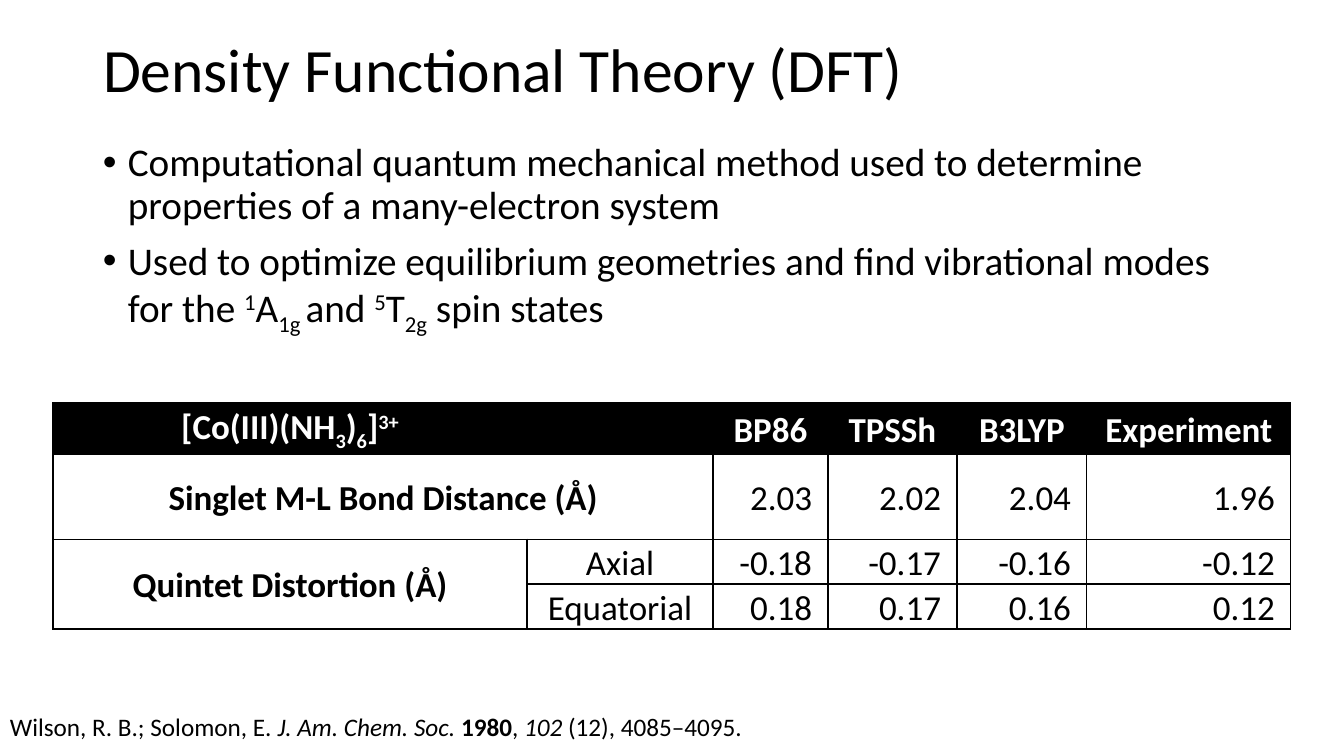
from dataclasses import dataclass

from lxml.etree import SubElement
from pptx import Presentation
from pptx.dml.color import RGBColor
from pptx.enum.text import MSO_ANCHOR, PP_ALIGN
from pptx.oxml.ns import qn
from pptx.util import Pt

TITLE = "Density Functional Theory (DFT)"
BULLETS = [
    [("Computational quantum mechanical method used to determine "
      "properties of a many-electron system", "")],
    [("Used to optimize equilibrium geometries and find vibrational modes for the ", ""),
     ("1", "super"), ("A", ""), ("1g ", "sub"), ("and ", ""),
     ("5", "super"), ("T", ""), ("2g", "sub"), (" spin states", "")],
]
COMPLEX = [("[Co(III)(NH", ""), ("3", "sub"), (")", ""), ("6", "sub"), ("]", ""), ("3+", "super")]
TABLE_ROWS = [
    [COMPLEX, "", "BP86", "TPSSh", "B3LYP", "Experiment"],
    ["Singlet M-L Bond Distance (Å)", "", "2.03", "2.02", "2.04", "1.96"],
    ["Quintet Distortion (Å)", "Axial", "-0.18", "-0.17", "-0.16", "-0.12"],
    ["", "Equatorial", "0.18", "0.17", "0.16", "0.12"],
]
MERGES = [((1, 0), (1, 1)), ((2, 0), (3, 0))]
CITATION = [
    ("Wilson, R. B.; Solomon, E. ", ""), ("J. Am. Chem. Soc. ", "italic"),
    ("1980", "bold"), (", ", ""), ("102", "italic"), (" (12), 4085–4095.", ""),
]

SLIDE_SIZE = (1344, 756)
TITLE_BOX = (93, 0, 1159, 146)
BULLET_BOX = (93, 138, 1159, 480)
CITATION_BOX = (0, 706, 1217, 72)
TABLE_ORIGIN = (53, 403)
COLUMN_WIDTHS = [474, 186, 115, 129, 130, 204]
ROW_HEIGHTS = [44, 85, 44, 43]
CELL_MARGIN = 16
BULLET_INDENT = 25
BASELINES = {"super": "30000", "sub": "-25000"}


@dataclass(frozen=True)
class Theme:
    font: str = "Calibri"
    ink: RGBColor = RGBColor(0, 0, 0)
    paper: RGBColor = RGBColor(255, 255, 255)
    title: int = 44
    body: int = 28
    table: int = 25
    citation: int = 18
    border: int = 1


THEME = Theme()


def px(length):
    return round(length * 12192000 / 1344)


def place(shape, box):
    shape.left, shape.top, shape.width, shape.height = map(px, box)


def write(paragraph, content, size, color=THEME.ink, bold=False):
    runs = [(content, "")] if isinstance(content, str) else content
    for text, style in runs:
        run = paragraph.add_run()
        run.text = text
        if style in BASELINES:
            run.font._element.set("baseline", BASELINES[style])
        elif style:
            setattr(run.font, style, True)
    font = paragraph.font
    font.name, font.size, font.bold = THEME.font, Pt(size), bold
    font.color.rgb = color


def add_text_box(slide, box):
    shape = slide.shapes.add_textbox(*map(px, box))
    shape.text_frame.word_wrap = True
    return shape.text_frame


def add_title(slide):
    title = slide.shapes.title
    place(title, TITLE_BOX)
    title.text_frame.vertical_anchor = MSO_ANCHOR.MIDDLE
    paragraph = title.text_frame.paragraphs[0]
    paragraph.alignment = PP_ALIGN.LEFT
    paragraph.line_spacing = 0.9
    write(paragraph, TITLE, THEME.title)


def add_bullets(slide):
    frame = add_text_box(slide, BULLET_BOX)
    for index, content in enumerate(BULLETS):
        paragraph = frame.add_paragraph() if index else frame.paragraphs[0]
        paragraph.line_spacing = 0.9
        paragraph.space_before = Pt(10 if index else 0)
        properties = paragraph._p.get_or_add_pPr()
        properties.set("marL", str(px(BULLET_INDENT)))
        properties.set("indent", str(-px(BULLET_INDENT)))
        SubElement(properties, qn("a:buFont"), typeface="Arial")
        SubElement(properties, qn("a:buChar"), char="•")
        write(paragraph, content, THEME.body)


def add_borders(cell):
    properties = cell._tc.get_or_add_tcPr()
    for side in ("lnL", "lnR", "lnT", "lnB"):
        line = SubElement(properties, qn(f"a:{side}"), w=str(Pt(THEME.border)))
        fill = SubElement(line, qn("a:solidFill"))
        SubElement(fill, qn("a:srgbClr"), val=str(THEME.ink))


def fill_cell(cell, row, column, content):
    header = row == 0
    cell.margin_left = cell.margin_right = px(CELL_MARGIN)
    cell.margin_top = cell.margin_bottom = 0
    at_bottom = row == 3 or (row == 2 and column == 1)
    cell.vertical_anchor = MSO_ANCHOR.BOTTOM if at_bottom else MSO_ANCHOR.MIDDLE
    add_borders(cell)
    cell.fill.solid()
    cell.fill.fore_color.rgb = THEME.ink if header else THEME.paper
    paragraph = cell.text_frame.paragraphs[0]
    paragraph.alignment = PP_ALIGN.CENTER if header or column < 2 else PP_ALIGN.RIGHT
    paragraph.line_spacing = 1.07
    if content:
        color = THEME.paper if header else THEME.ink
        write(paragraph, content, THEME.table, color, header or column == 0)


def add_results_table(slide):
    box = (*TABLE_ORIGIN, sum(COLUMN_WIDTHS), sum(ROW_HEIGHTS))
    table = slide.shapes.add_table(
        len(ROW_HEIGHTS), len(COLUMN_WIDTHS), *map(px, box)).table
    table.first_row = table.horz_banding = False
    for column, width in zip(table.columns, COLUMN_WIDTHS):
        column.width = px(width)
    for row, height in zip(table.rows, ROW_HEIGHTS):
        row.height = px(height)
    for start, end in MERGES:
        table.cell(*start).merge(table.cell(*end))
    for row, contents in enumerate(TABLE_ROWS):
        for column, content in enumerate(contents):
            fill_cell(table.cell(row, column), row, column, content)


def add_citation(slide):
    frame = add_text_box(slide, CITATION_BOX)
    write(frame.paragraphs[0], CITATION, THEME.citation)


def main():
    presentation = Presentation()
    presentation.slide_width, presentation.slide_height = map(px, SLIDE_SIZE)
    slide = presentation.slides.add_slide(presentation.slide_layouts[5])
    add_title(slide)
    add_bullets(slide)
    add_results_table(slide)
    add_citation(slide)
    presentation.save("out.pptx")


if __name__ == "__main__":
    main()
